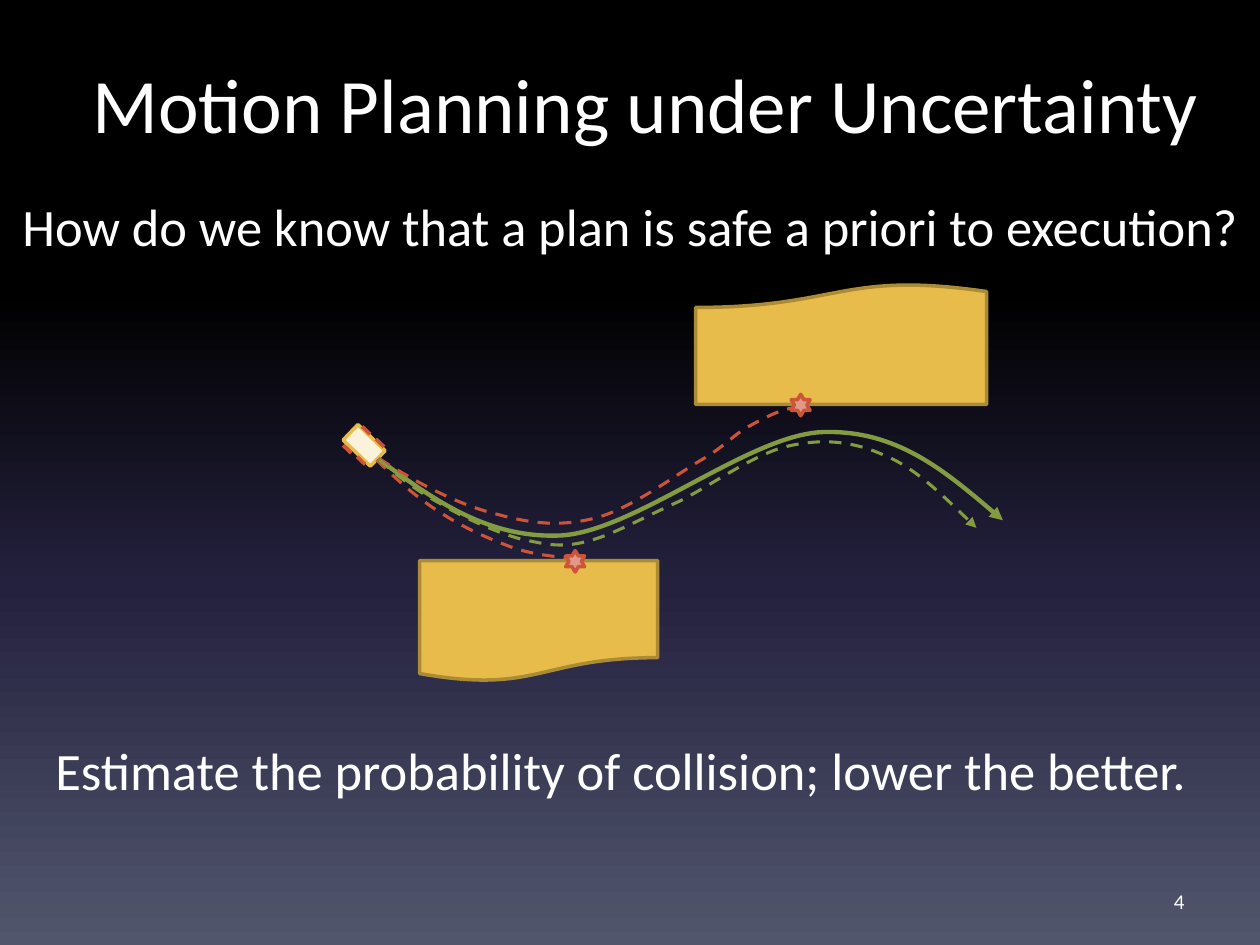
from dataclasses import dataclass

from lxml import etree
from pptx import Presentation
from pptx.dml.color import RGBColor
from pptx.enum.dml import MSO_LINE
from pptx.enum.shapes import MSO_SHAPE
from pptx.enum.text import MSO_ANCHOR, MSO_AUTO_SIZE, PP_ALIGN
from pptx.oxml.ns import qn
from pptx.util import Emu, Pt

PX = 9144
RECTANGLE, DOCUMENT, STAR = MSO_SHAPE.RECTANGLE, MSO_SHAPE.FLOWCHART_DOCUMENT, MSO_SHAPE.STAR_6_POINT
LEFT, CENTER, RIGHT = PP_ALIGN.LEFT, PP_ALIGN.CENTER, PP_ALIGN.RIGHT
TOP, MIDDLE = MSO_ANCHOR.TOP, MSO_ANCHOR.MIDDLE
FIXED, GROW = MSO_AUTO_SIZE.NONE, MSO_AUTO_SIZE.SHAPE_TO_FIT_TEXT
DASH = MSO_LINE.DASH
COLORS = {
    "text": "FFFFFF", "car": "FAF2DB", "gold": "E8BC4A", "gold edge": "AC8B37",
    "red": "CC5439", "pink": "E09888", "green": "839C41",
}
BACKDROP = {0: "000000", 31: "000000", 62: "24213E", 100: "51566D"}
CAR_ANGLE = 43.7


@dataclass
class Label:
    """A line of text in its own box."""
    at: tuple[int, int, int, int]
    text: str
    size: int
    align: PP_ALIGN = LEFT
    anchor: MSO_ANCHOR = TOP
    fit: MSO_AUTO_SIZE = FIXED


@dataclass
class Block:
    """A filled preset shape."""
    kind: MSO_SHAPE
    at: tuple[int, int, int, int]
    fill: str
    edge: str = ""
    angle: float = 0


@dataclass
class Path:
    """A chain of Bezier curves: a start, then three points for each curve."""
    points: list[tuple[int, int]]
    color: str
    width: float = 1.75
    dashed: bool = True
    arrow: bool = False


LABELS = [
    Label((717, 695, 233, 40), "4", 12, RIGHT, MIDDLE),
    Label((50, 40, 925, 125), "Motion Planning under Uncertainty", 44, CENTER),
    Label((8, 149, 1000, 61), "How do we know that a plan is safe a priori to execution?", 30, fit=GROW),
    Label((34, 581, 938, 61), "Estimate the probability of collision; lower the better.", 30, fit=GROW),
]
WHEELS = [(286, 340), (297, 350), (271, 355), (282, 364)]
BLOCKS = [
    Block(RECTANGLE, (274, 345, 30, 17), "car", "gold", CAR_ANGLE),
    *(Block(RECTANGLE, (left, top, 9, 3), "red", angle=CAR_ANGLE) for left, top in WHEELS),
    Block(DOCUMENT, (333, 445, 189, 96), "gold", "gold edge"),
    Block(DOCUMENT, (552, 225, 231, 96), "gold", "gold edge", 180),
]
PATHS = [
    Path([(300, 364), (343, 396), (387, 428), (446, 425), (505, 421), (595, 345), (653, 343),
          (711, 341), (754, 377), (796, 413)], "green", 2.5, dashed=False, arrow=True),
    Path([(299, 365), (315, 381), (332, 396), (350, 407), (368, 419), (389, 428), (408, 435),
          (427, 441), (444, 442), (462, 444)], "red"),
    Path([(301, 364), (332, 384), (365, 401), (394, 408), (423, 416), (446, 418), (473, 411),
          (500, 404), (535, 378), (555, 366), (576, 354), (582, 345), (595, 338),
          (608, 331), (619, 325), (633, 323)], "red"),
    Path([(301, 365), (316, 378), (331, 390), (350, 400), (368, 411), (395, 423), (414, 428),
          (433, 432), (445, 435), (465, 430), (486, 425), (512, 410), (539, 398),
          (565, 385), (599, 360), (626, 354), (653, 348), (676, 350), (701, 361),
          (726, 371), (750, 395), (775, 419)], "green", arrow=True),
]
CRASHES = [Block(STAR, (left, top, 15, 17), "pink", "red") for left, top in [(449, 437), (628, 313)]]


def paint(part, color: str) -> None:
    """Give a fill one solid colour from the palette."""
    part.solid()
    part.fore_color.rgb = RGBColor.from_string(COLORS[color])


def draw_backdrop(page) -> None:
    """Fill the page with a gradient running from top to bottom."""
    fill = page.background.fill
    fill.gradient()
    fill.gradient_angle = 270
    stops = page._element.find(".//" + qn("a:gsLst"))
    stops[:] = []
    for percent, color in BACKDROP.items():
        stop = etree.SubElement(stops, qn("a:gs"), pos=str(percent * 1000))
        etree.SubElement(stop, qn("a:srgbClr"), val=color)


def draw_label(page, label: Label) -> None:
    """Write one line of text."""
    box = page.shapes.add_textbox(*(Emu(side * PX) for side in label.at))
    frame = box.text_frame
    frame_format = {"word_wrap": True, "auto_size": label.fit, "vertical_anchor": label.anchor}
    for name, value in frame_format.items():
        setattr(frame, name, value)
    para = frame.paragraphs[0]
    para.alignment = label.align
    span = para.add_run()
    span.text = label.text
    for name, value in {"name": "Calibri", "size": Pt(label.size)}.items():
        setattr(span.font, name, value)
    paint(span.font.fill, "text")


def draw_block(page, block: Block) -> None:
    """Draw one preset shape with an optional edge."""
    shape = page.shapes.add_shape(block.kind, *(Emu(side * PX) for side in block.at))
    shape.shadow.inherit = False
    shape.rotation = block.angle
    paint(shape.fill, block.fill)
    if block.edge:
        paint(shape.line.fill, block.edge)
        shape.line.width = Pt(2)
    else:
        shape.line.fill.background()


def draw_path(page, path: Path) -> None:
    """Draw one open curve by joining each three straight segments into a Bezier."""
    builder = page.shapes.build_freeform(*path.points[0], scale=PX)
    builder.add_line_segments(path.points[1:], close=False)
    shape = builder.convert_to_shape()
    shape.shadow.inherit = False
    shape.fill.background()
    paint(shape.line.fill, path.color)
    shape.line.width = Pt(path.width)
    if path.dashed:
        shape.line.dash_style = DASH
    if path.arrow:
        etree.SubElement(shape.line._get_or_add_ln(), qn("a:tailEnd"), type="triangle")
    outline = shape._element.find(".//" + qn("a:path"))
    segments = outline.findall(qn("a:lnTo"))
    for first in range(0, len(segments), 3):
        curve = etree.SubElement(outline, qn("a:cubicBezTo"))
        for segment in segments[first:first + 3]:
            curve.append(segment[0])
            outline.remove(segment)


def main() -> None:
    """Build the motion planning slide."""
    deck = Presentation()
    deck.slide_width, deck.slide_height = Emu(1000 * PX), Emu(750 * PX)
    page = deck.slides.add_slide(deck.slide_layouts[6])
    draw_backdrop(page)
    for label in LABELS:
        draw_label(page, label)
    for block in BLOCKS:
        draw_block(page, block)
    for path in PATHS:
        draw_path(page, path)
    for crash in CRASHES:
        draw_block(page, crash)
    deck.save("out.pptx")


if __name__ == "__main__":
    main()
